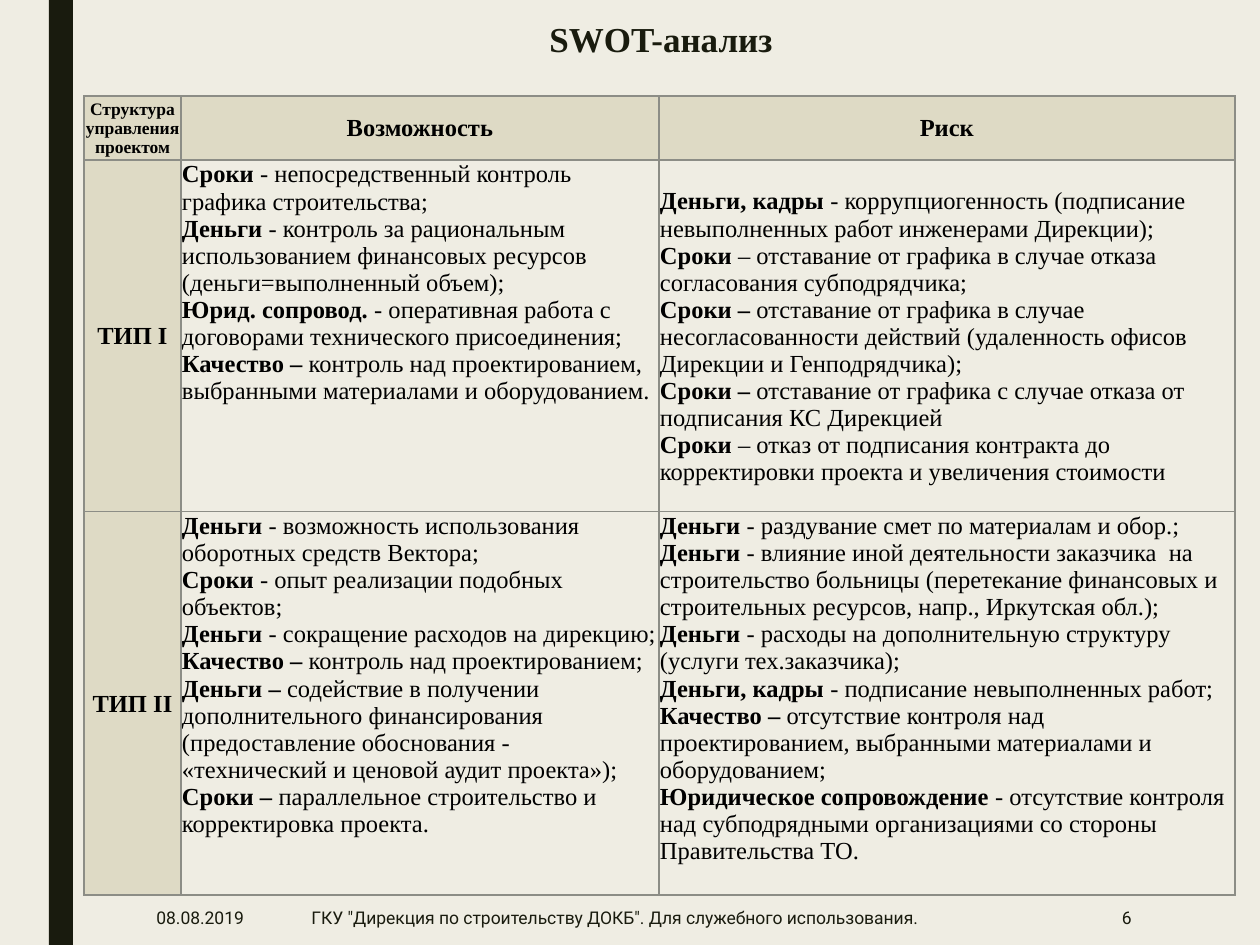
from dataclasses import dataclass

from lxml import etree
from pptx import Presentation
from pptx.dml.color import RGBColor
from pptx.enum.shapes import MSO_SHAPE
from pptx.enum.text import MSO_ANCHOR, PP_ALIGN
from pptx.oxml.ns import qn
from pptx.util import Pt

RECT = MSO_SHAPE.RECTANGLE
TOP, MID = MSO_ANCHOR.TOP, MSO_ANCHOR.MIDDLE
LEFT, MIDDLE, RIGHT = PP_ALIGN.LEFT, PP_ALIGN.CENTER, PP_ALIGN.RIGHT


@dataclass(frozen=True)
class Theme:
    paper: str = "EFEDE3"
    dark: str = "191B0E"
    head: str = "DEDAC5"
    rule: str = "8C8D86"
    ink: str = "000000"
    serif: str = "Times New Roman"
    sans: str = "Roboto"
    title: int = 20
    body: int = 14
    small: int = 10


THEME = Theme()

# Each item is a bold label and plain text, split by "|"
HEADS = ["Структура управления проектом", "Возможность", "Риск"]
ROWS = [
    ("ТИП I", [
        "Сроки| - непосредственный контроль графика строительства;",
        "Деньги| - контроль за рациональным использованием финансовых ресурсов "
        "(деньги=выполненный объем);",
        "Юрид. сопровод. |- оперативная работа с договорами технического присоединения;",
        "Качество – |контроль над проектированием, выбранными материалами и оборудованием.",
    ], [
        "Деньги, кадры |- коррупциогенность (подписание невыполненных работ "
        "инженерами Дирекции);",
        "Сроки |– отставание от графика в случае отказа согласования субподрядчика;",
        "Сроки – |отставание от графика в случае несогласованности действий "
        "(удаленность офисов Дирекции и Генподрядчика);",
        "Сроки – |отставание от графика с случае отказа от подписания КС Дирекцией",
        "Сроки| – отказ от подписания контракта до корректировки проекта "
        "и увеличения стоимости",
    ]),
    ("ТИП II", [
        "Деньги |- возможность использования оборотных средств Вектора;",
        "Сроки| - опыт реализации подобных объектов;",
        "Деньги |- сокращение расходов на дирекцию;",
        "Качество – |контроль над проектированием;",
        "Деньги – |содействие в получении дополнительного финансирования "
        "(предоставление обоснования - «технический и ценовой аудит проекта»);",
        "Сроки – |параллельное строительство и корректировка проекта.",
    ], [
        "Деньги| - раздувание смет по материалам и обор.;",
        "Деньги| - влияние иной деятельности заказчика  на строительство больницы "
        "(перетекание финансовых и строительных ресурсов, напр., Иркутская обл.);",
        "Деньги |- расходы на дополнительную структуру (услуги тех.заказчика);",
        "Деньги, кадры |- подписание невыполненных работ;",
        "Качество – |отсутствие контроля над проектированием, выбранными материалами "
        "и оборудованием;",
        "Юридическое сопровождение| - отсутствие контроля над субподрядными "
        "организациями со стороны Правительства ТО.",
    ]),
]


def px(n):
    return n * 914400 // 126


def color(code):
    return RGBColor.from_string(code)


def add_run(para, text, size, font, ink, bold=False):
    run = para.add_run()
    run.text = text
    run.font.size, run.font.name, run.font.bold = Pt(size), font, bold
    run.font.color.rgb = color(ink)


def add_label(slide, box, text, size, font, align, anchor, bold=False):
    frame = slide.shapes.add_textbox(*map(px, box)).text_frame
    frame.word_wrap = True
    frame.vertical_anchor = anchor
    para = frame.paragraphs[0]
    para.alignment = align
    add_run(para, text, size, font, THEME.dark, bold)
    return para


def add_bar(slide, box):
    bar = slide.shapes.add_shape(RECT, *map(px, box))
    bar.shadow.inherit = False
    bar.fill.solid()
    bar.fill.fore_color.rgb = color(THEME.dark)
    bar.line.fill.background()


def add_title(slide, box):
    para = add_label(slide, box, "SWOT-анализ", THEME.title, THEME.serif,
                     MIDDLE, TOP, True)
    para.line_spacing = 0.89


def set_edges(cell):
    props = cell._tc.get_or_add_tcPr()
    for spot, side in enumerate(("lnL", "lnR", "lnT", "lnB")):
        line = etree.Element(qn("a:" + side), w=str(Pt(1)))
        fill = etree.SubElement(line, qn("a:solidFill"))
        etree.SubElement(fill, qn("a:srgbClr"), val=THEME.rule)
        props.insert(spot, line)


def style_cell(cell, top=1):
    cell.margin_left = cell.margin_right = px(1)
    cell.margin_top, cell.margin_bottom = px(top), 0
    set_edges(cell)


def fill_head(cell, text, size):
    style_cell(cell)
    cell.fill.solid()
    cell.fill.fore_color.rgb = color(THEME.head)
    cell.vertical_anchor = MID
    para = cell.text_frame.paragraphs[0]
    para.alignment = MIDDLE
    add_run(para, text, size, THEME.serif, THEME.ink, True)


def fill_list(cell, items, top):
    style_cell(cell, top)
    cell.fill.background()
    cell.vertical_anchor = TOP
    frame = cell.text_frame
    for n, item in enumerate(items):
        para = frame.add_paragraph() if n else frame.paragraphs[0]
        label, text = item.split("|")
        add_run(para, label, THEME.body, THEME.serif, THEME.ink, True)
        add_run(para, text, THEME.body, THEME.serif, THEME.ink)


def add_grid(slide, box):
    left, top, width, height = box
    cols = [97, 478, width - 97 - 478]
    rows = [63, 348, height - 63 - 348]
    table = slide.shapes.add_table(len(rows), len(cols), *map(px, box)).table
    table.first_row = table.horz_banding = False
    for col, size in zip(table.columns, cols):
        col.width = px(size)
    for row, size in zip(table.rows, rows):
        row.height = px(size)

    # Header row
    for c, text in enumerate(HEADS):
        fill_head(table.cell(0, c), text, THEME.body if c else THEME.small)

    # Body rows; the first risk list starts one line lower
    for r, (kind, gains, risks) in enumerate(ROWS, 1):
        fill_head(table.cell(r, 0), kind, THEME.body)
        fill_list(table.cell(r, 1), gains, 1)
        fill_list(table.cell(r, 2), risks, 28 if r == 1 else 1)


def add_footer(slide, box):
    left, top, width, height = box
    note = 'ГКУ "Дирекция по строительству ДОКБ". Для служебного использования.'
    parts = [(0, 125, "08.08.2019", LEFT), (155, 649, note, LEFT),
             (width - 165, 165, "6", RIGHT)]
    for dx, size, text, align in parts:
        add_label(slide, (left + dx, top, size, height), text,
                  THEME.small, THEME.sans, align, MID)


def main():
    deck = Presentation()
    deck.slide_width, deck.slide_height = px(1260), px(945)
    slide = deck.slides.add_slide(deck.slide_layouts[6])
    slide.background.fill.solid()
    slide.background.fill.fore_color.rgb = color(THEME.paper)
    add_bar(slide, (49, 0, 24, 945))
    add_title(slide, (123, 16, 1076, 69))
    add_grid(slide, (84, 96, 1151, 783))
    add_footer(slide, (144, 890, 1000, 55))
    deck.save("out.pptx")


if __name__ == "__main__":
    main()
